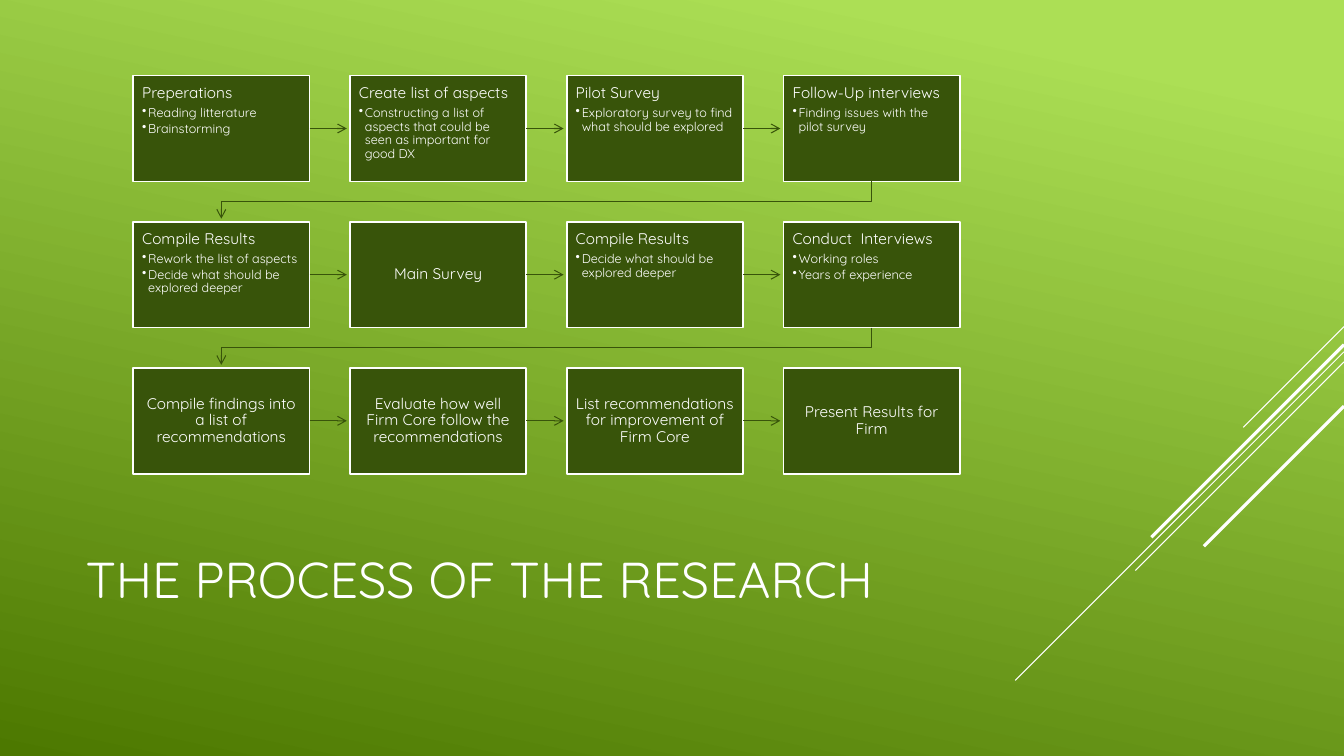
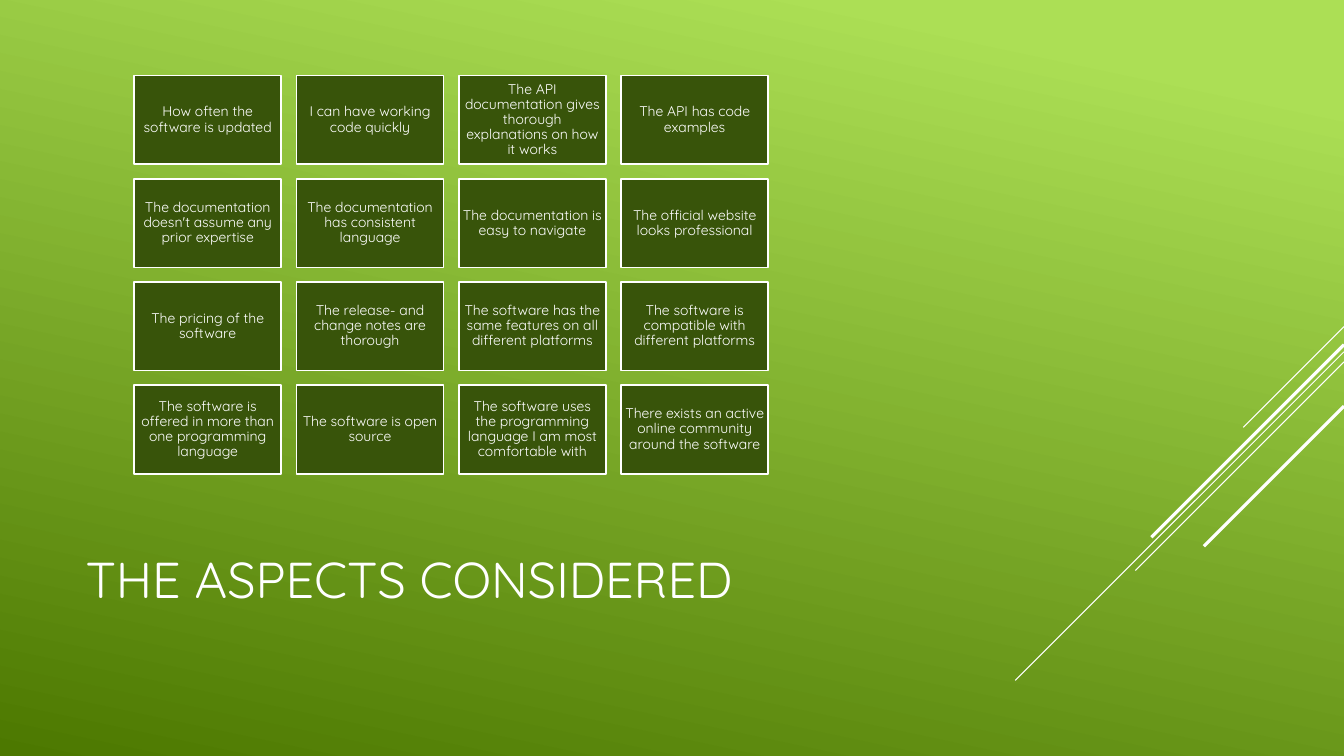
from typing import NamedTuple

from lxml.etree import SubElement
from pptx import Presentation
from pptx.dml.color import RGBColor
from pptx.enum.shapes import MSO_CONNECTOR, MSO_SHAPE
from pptx.enum.text import MSO_ANCHOR, PP_ALIGN
from pptx.oxml.ns import qn
from pptx.util import Inches, Pt

WHITE = RGBColor(0xFF, 0xFF, 0xFF)
DARK_GREEN = RGBColor(0x38, 0x54, 0x0A)
LIGHT_BACK = RGBColor(0xAC, 0xDF, 0x55)
DEEP_BACK = RGBColor(0x4C, 0x78, 0x00)
FONT = "Quicksand"


class Box(NamedTuple):
    left: float
    top: float
    width: float
    height: float

    @property
    def right(self):
        return self.left + self.width

    @property
    def bottom(self):
        return self.top + self.height

    @property
    def center(self):
        return self.left + self.width / 2

    @property
    def middle(self):
        return self.top + self.height / 2

    def inches(self):
        return [Inches(length) for length in self]


TITLE_BOX = Box(0.75, 4.91, 9.33, 1.65)
PROCESS_BOX = Box(1.32, 0.75, 8.2, 3.95)
ASPECTS_BOX = Box(1.33, 0.75, 6.29, 3.95)
ARROW_GAP = 0.03

# Diagonal strokes: start height at the right edge, length across, weight
SLIDE_WIDTH, SLIDE_HEIGHT = 13.33, 7.5
STROKES = [(3.24, 1, 0.75), (3.49, 3.26, 0.75), (3.59, 2.07, 0.75),
           (3.42, 1.91, 2.25), (4.03, 1.39, 2.25)]

# Rows of steps, each with a heading and its bullets
PROCESS = [
    [("Preperations", ["Reading litterature", "Brainstorming"]),
     ("Create list of aspects",
      ["Constructing a list of aspects that could be seen as important for good DX"]),
     ("Pilot Survey", ["Exploratory survey to find what should be explored"]),
     ("Follow-Up interviews", ["Finding issues with the pilot survey"])],
    [("Compile Results",
      ["Rework the list of aspects", "Decide what should be explored deeper"]),
     ("Main Survey", []),
     ("Compile Results", ["Decide what should be explored deeper"]),
     ("Conduct  Interviews", ["Working roles", "Years of experience"])],
    [("Compile findings into a list of recommendations", []),
     ("Evaluate how well Firm Core follow the recommendations", []),
     ("List recommendations for improvement of Firm Core", []),
     ("Present Results for Firm", [])],
]

ASPECTS = [
    ["How often the software is updated",
     "I can have working code quickly",
     "The API documentation gives thorough explanations on how it works",
     "The API has code examples"],
    ["The documentation doesn't assume any prior expertise",
     "The documentation has consistent language",
     "The documentation is easy to navigate",
     "The official website looks professional"],
    ["The pricing of the software",
     "The release- and change notes are thorough",
     "The software has the same features on all different platforms",
     "The software is compatible with different platforms"],
    ["The software is offered in more than one programming language",
     "The software is open source",
     "The software uses the programming language I am most comfortable with",
     "There exists an active online community around the software"],
]


def grid(box, rows, cell_width, cell_height):
    """Spread equal cells over the box, one list of cells per row."""
    across = (box.width - cell_width) / (len(rows[0]) - 1)
    down = (box.height - cell_height) / (len(rows) - 1)
    return [[Box(box.left + column * across, box.top + row * down,
                 cell_width, cell_height)
             for column in range(len(rows[row]))]
            for row in range(len(rows))]


def add_span(para, text, size):
    span = para.add_run()
    span.text = text
    span.font.name = FONT
    span.font.size = Pt(size)
    span.font.color.rgb = WHITE


def add_bullet(para):
    properties = para._p.get_or_add_pPr()
    properties.set("marL", str(Inches(0.06)))
    properties.set("indent", str(-Inches(0.06)))
    SubElement(properties, qn("a:buChar")).set("char", "•")


def add_card(slide, box, heading, bullets, size, inset):
    card = slide.shapes.add_shape(MSO_SHAPE.RECTANGLE, *box.inches())
    card.shadow.inherit = False
    card.fill.solid()
    card.fill.fore_color.rgb = DARK_GREEN
    card.line.color.rgb = WHITE
    card.line.width = Pt(1.25)

    frame = card.text_frame
    frame.word_wrap = True
    frame.vertical_anchor = MSO_ANCHOR.TOP if bullets else MSO_ANCHOR.MIDDLE
    frame.margin_left = frame.margin_right = Inches(inset)
    frame.margin_top = frame.margin_bottom = Inches(inset)

    para = frame.paragraphs[0]
    para.alignment = PP_ALIGN.LEFT if bullets else PP_ALIGN.CENTER
    para.line_spacing = 0.9
    para.space_after = Pt(size * 0.35)
    add_span(para, heading, size)
    for bullet in bullets:
        para = frame.add_paragraph()
        para.alignment = PP_ALIGN.LEFT
        para.line_spacing = 0.9
        para.space_after = Pt(9 * 0.15)
        add_bullet(para)
        add_span(para, bullet, 9)


def add_line(slide, start, end, color, weight):
    points = [Inches(length) for length in (*start, *end)]
    line = slide.shapes.add_connector(MSO_CONNECTOR.STRAIGHT, *points)
    line.line.color.rgb = color
    line.line.width = Pt(weight)
    SubElement(line._element.spPr, qn("a:effectLst"))
    return line


def add_arrowhead(line):
    SubElement(line.line._get_or_add_ln(), qn("a:tailEnd")).set("type", "arrow")


def add_step_arrow(slide, source, target):
    add_arrowhead(add_line(slide, (source.right, source.middle),
                           (target.left - ARROW_GAP, target.middle),
                           DARK_GREEN, 0.75))


def add_row_arrow(slide, source, target):
    """Lead from the end of one row to the start of the next."""
    turn = (source.bottom + target.top) / 2
    corners = [(source.center, turn), (target.center, turn),
               (target.center, target.top - ARROW_GAP)]
    builder = slide.shapes.build_freeform(Inches(source.center), Inches(source.bottom))
    builder.add_line_segments([(Inches(x), Inches(y)) for x, y in corners], close=False)
    arrow = builder.convert_to_shape()
    arrow.shadow.inherit = False
    arrow.fill.background()
    arrow.line.color.rgb = DARK_GREEN
    arrow.line.width = Pt(0.75)
    add_arrowhead(arrow)


def add_title(slide, box, text):
    title = slide.shapes.add_textbox(*box.inches())
    frame = title.text_frame
    frame.word_wrap = True
    frame.vertical_anchor = MSO_ANCHOR.MIDDLE
    add_span(frame.paragraphs[0], text, 36)


def add_process(slide, box):
    cells = grid(box, PROCESS, 1.75, 1.05)
    for cell_row, step_row in zip(cells, PROCESS):
        for cell, (heading, bullets) in zip(cell_row, step_row):
            add_card(slide, cell, heading, bullets, 11, 0.09)
        for source, target in zip(cell_row, cell_row[1:]):
            add_step_arrow(slide, source, target)
    for upper, lower in zip(cells, cells[1:]):
        add_row_arrow(slide, upper[-1], lower[0])


def add_aspects(slide, box):
    for cell_row, aspect_row in zip(grid(box, ASPECTS, 1.46, 0.88), ASPECTS):
        for cell, aspect in zip(cell_row, aspect_row):
            add_card(slide, cell, aspect, [], 10, 0.04)


def set_background(master):
    fill = master.background.fill
    fill.gradient()
    fill.gradient_angle = 258
    for stop, position, color in zip(fill.gradient_stops, (0.1, 1),
                                     (LIGHT_BACK, DEEP_BACK)):
        stop.position = position
        stop.color.rgb = color


def add_page(deck, title):
    page = deck.slides.add_slide(deck.slide_layouts[6])
    for top, reach, weight in STROKES:
        add_line(page, (SLIDE_WIDTH, top), (SLIDE_WIDTH - reach, top + reach),
                 WHITE, weight)
    add_title(page, TITLE_BOX, title)
    return page


deck = Presentation()
deck.slide_width = Inches(SLIDE_WIDTH)
deck.slide_height = Inches(SLIDE_HEIGHT)
set_background(deck.slide_master)
add_process(add_page(deck, "THE PROCESS OF THE RESEARCH"), PROCESS_BOX)
add_aspects(add_page(deck, "THE ASPECTS CONSIDERED"), ASPECTS_BOX)
deck.save("out.pptx")
